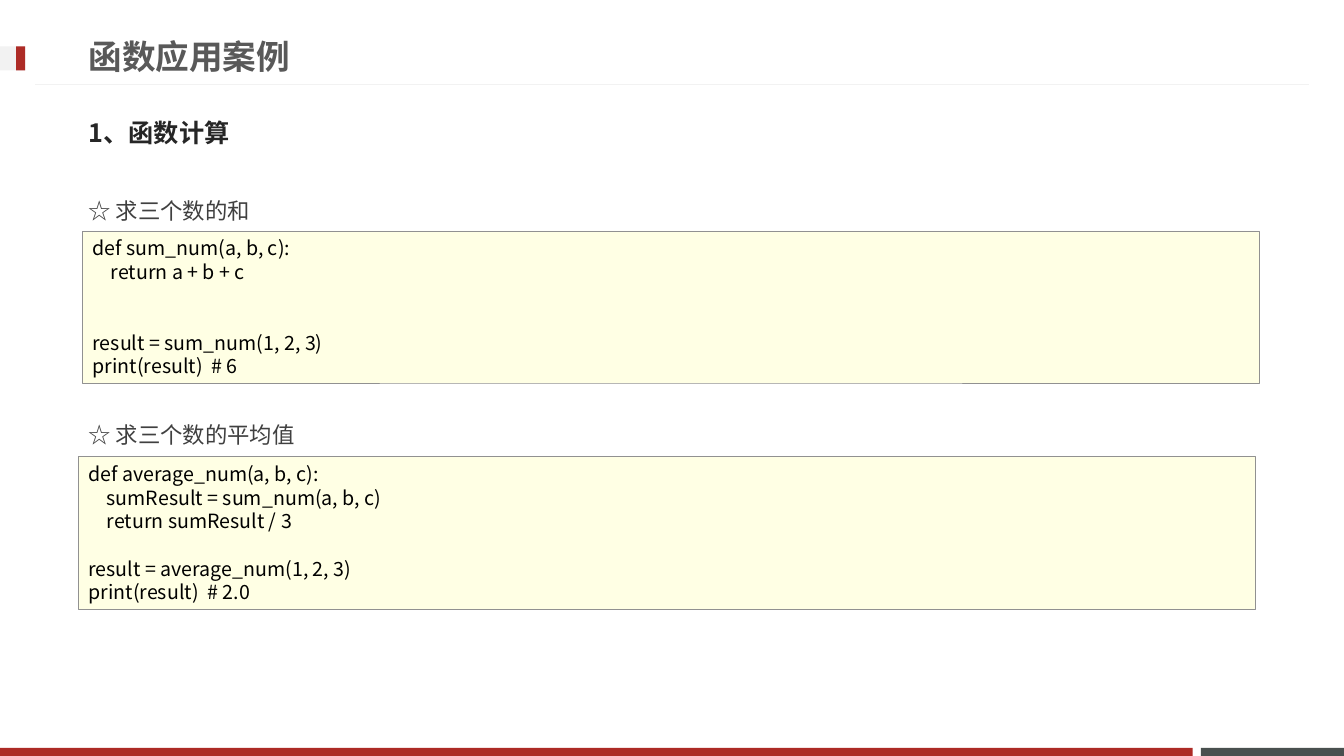
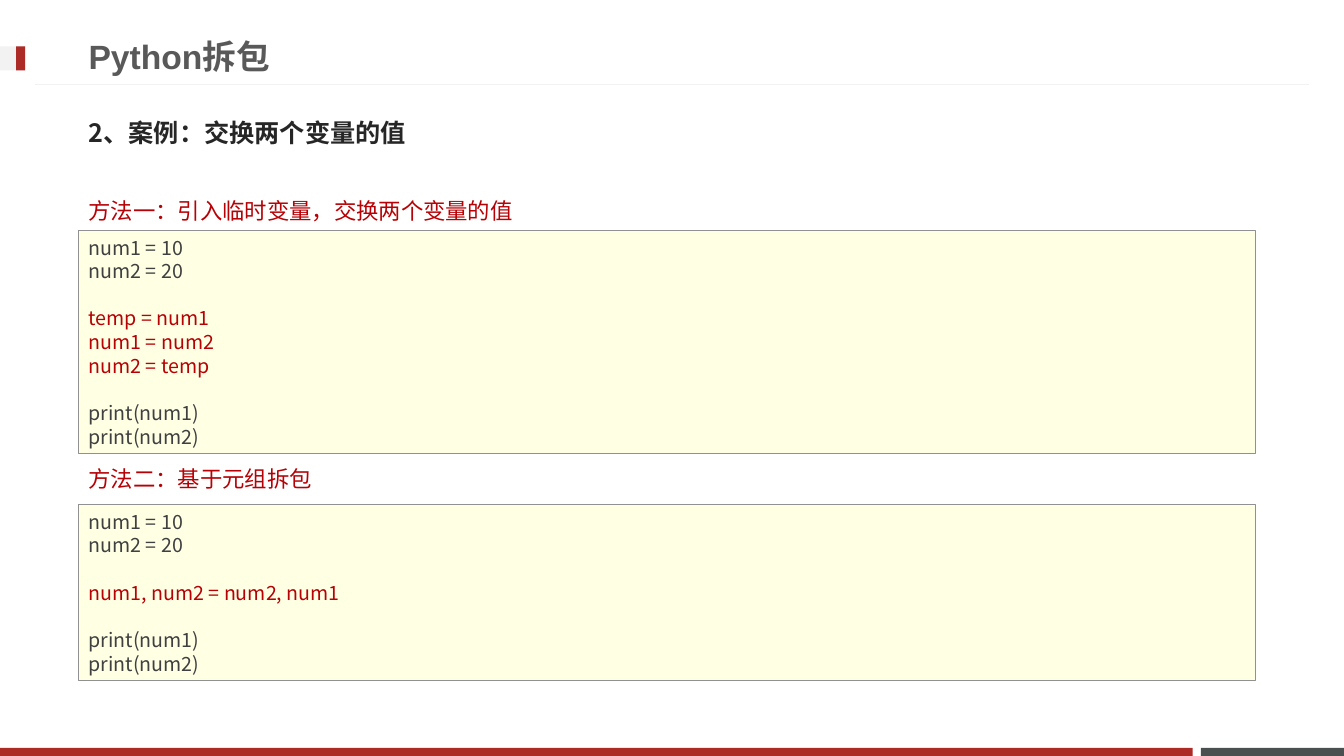
import dataclasses

import pptx
import pptx.dml.color
import pptx.enum.shapes
import pptx.enum.text
import pptx.oxml
import pptx.oxml.ns
import pptx.util
from pptx.util import Inches


@dataclasses.dataclass(frozen=True)
class Theme:
    brand_red: str = "AD2B26"
    slate: str = "49504F"
    pale_grey: str = "F2F2F2"
    title_grey: str = "595959"
    heading_grey: str = "262626"
    body_grey: str = "404040"
    accent_red: str = "B60206"
    code_black: str = "000000"
    code_fill: str = "FFFFE4"
    code_border: str = "919191"
    latin_font: str = "Arial"
    chinese_font: str = "Noto Sans CJK JP"
    title_size: float = 24
    heading_size: float = 18
    caption_size: float = 16
    code_size: float = 14
    code_pitch: float = 16.9
    code_indent: float = 0.18


@dataclasses.dataclass(frozen=True)
class Box:
    left: float
    top: float
    width: float
    height: float

    def lengths(self):
        return [Inches(value) for value in dataclasses.astuple(self)]


@dataclasses.dataclass(frozen=True)
class CodeLine:
    text: str
    blank_before: int = 0
    indented: bool = False
    accent: bool = False


@dataclasses.dataclass(frozen=True)
class Section:
    caption: str
    caption_top: float
    code_box: Box
    lines: tuple


THEME = Theme()
SLIDE_BOX = Box(0, 0, 13.33, 7.5)
TEXT_LEFT = 0.78
TEXT_WIDTH = 11.76
CODE_WIDTH = 11.67


def rgb(color):
    return pptx.dml.color.RGBColor.from_string(color)


def style_paragraph(paragraph, size, color, font_name, bold=False):
    font = paragraph.font
    font.size = pptx.util.Pt(size)
    font.bold = bold
    font.color.rgb = rgb(color)
    font.name = font_name
    properties = paragraph._p.get_or_add_pPr().find(pptx.oxml.ns.qn("a:defRPr"))
    east_asian = pptx.oxml.parse_xml(
        f'<a:ea {pptx.oxml.ns.nsdecls("a")} typeface="{THEME.chinese_font}"/>'
    )
    properties.find(pptx.oxml.ns.qn("a:latin")).addnext(east_asian)


def add_rectangle(slide, box, fill, border=None):
    shape = slide.shapes.add_shape(
        pptx.enum.shapes.MSO_SHAPE.RECTANGLE, *box.lengths()
    )
    shape.shadow.inherit = False
    shape.fill.solid()
    shape.fill.fore_color.rgb = rgb(fill)
    if border:
        shape.line.color.rgb = rgb(border)
        shape.line.width = pptx.util.Pt(0.25)
    else:
        shape.line.fill.background()
    return shape


def add_text(slide, box, text, size, color, font_name, bold=False):
    frame = slide.shapes.add_textbox(*box.lengths()).text_frame
    frame.word_wrap = True
    frame.vertical_anchor = pptx.enum.text.MSO_ANCHOR.MIDDLE
    paragraph = frame.paragraphs[0]
    paragraph.text = text
    style_paragraph(paragraph, size, color, font_name, bold)


def add_footer(slide, box):
    height, gap, slate_width = 0.08, 0.08, 1.42
    top = box.top + box.height - height
    slate_left = box.left + box.width - slate_width
    add_rectangle(slide, Box(slate_left, top, slate_width, height), THEME.slate)
    red_width = slate_left - gap - box.left
    add_rectangle(slide, Box(box.left, top, red_width, height), THEME.brand_red)


def add_header(slide, box, title):
    rule_inset, rule_top = 0.35, box.top + 0.84
    rule = slide.shapes.add_connector(
        pptx.enum.shapes.MSO_CONNECTOR.STRAIGHT,
        Inches(box.left + rule_inset), Inches(rule_top),
        Inches(box.left + box.width - rule_inset), Inches(rule_top),
    )
    rule.line.color.rgb = rgb(THEME.pale_grey)
    rule.line.width = pptx.util.Pt(0.75)
    rule._element.spPr.append(pptx.oxml.parse_xml(
        f'<a:effectLst {pptx.oxml.ns.nsdecls("a")}/>'
    ))
    for offset, width, color in ((0, 0.25, THEME.pale_grey),
                                 (0.16, 0.09, THEME.brand_red)):
        add_rectangle(
            slide, Box(box.left + offset, box.top + 0.46, width, 0.24), color
        )
    add_text(
        slide, Box(box.left + TEXT_LEFT, box.top + 0.27, 9.59, 0.57), title,
        THEME.title_size, THEME.title_grey, THEME.latin_font, bold=True,
    )


def add_code(slide, box, lines, color):
    shape = add_rectangle(slide, box, THEME.code_fill, THEME.code_border)
    frame = shape.text_frame
    frame.word_wrap = True
    frame.vertical_anchor = pptx.enum.text.MSO_ANCHOR.MIDDLE
    for index, line in enumerate(lines):
        paragraph = frame.add_paragraph() if index else frame.paragraphs[0]
        paragraph.text = line.text
        paragraph.alignment = pptx.enum.text.PP_ALIGN.LEFT
        paragraph.line_spacing = pptx.util.Pt(THEME.code_pitch)
        paragraph.space_before = pptx.util.Pt(
            line.blank_before * THEME.code_pitch
        )
        if line.indented:
            paragraph._p.get_or_add_pPr().set(
                "marL", str(Inches(THEME.code_indent))
            )
        style_paragraph(
            paragraph, THEME.code_size,
            THEME.accent_red if line.accent else color, THEME.chinese_font,
        )


def add_code_slide(presentation, title, heading, sections, caption_color, code_color):
    slide = presentation.slides.add_slide(presentation.slide_layouts[6])
    add_footer(slide, SLIDE_BOX)
    add_header(slide, SLIDE_BOX, title)
    add_text(
        slide, Box(TEXT_LEFT, 1.03, TEXT_WIDTH, 0.57), heading,
        THEME.heading_size, THEME.heading_grey, THEME.chinese_font, bold=True,
    )
    for section in sections:
        add_text(
            slide, Box(TEXT_LEFT, section.caption_top, TEXT_WIDTH, 0.4),
            section.caption, THEME.caption_size, caption_color, THEME.latin_font,
        )
        add_code(slide, section.code_box, section.lines, code_color)


def main():
    presentation = pptx.Presentation()
    presentation.slide_width = Inches(SLIDE_BOX.width)
    presentation.slide_height = Inches(SLIDE_BOX.height)

    add_code_slide(
        presentation, "函数应用案例", "1、函数计算",
        (
            Section("☆ 求三个数的和", 1.89, Box(0.82, 2.29, CODE_WIDTH, 1.51), (
                CodeLine("def sum_num(a, b, c):"),
                CodeLine("return a + b + c", indented=True),
                CodeLine("result = sum_num(1, 2, 3)", blank_before=2),
                CodeLine("print(result)  # 6"),
            )),
            Section("☆ 求三个数的平均值", 4.11, Box(TEXT_LEFT, 4.53, CODE_WIDTH, 1.51), (
                CodeLine("def average_num(a, b, c):"),
                CodeLine("sumResult = sum_num(a, b, c)", indented=True),
                CodeLine("return sumResult / 3", indented=True),
                CodeLine("result = average_num(1, 2, 3)", blank_before=1),
                CodeLine("print(result)  # 2.0"),
            )),
        ),
        THEME.body_grey, THEME.code_black,
    )

    assignments = (CodeLine("num1 = 10"), CodeLine("num2 = 20"))
    output = (CodeLine("print(num1)", blank_before=1), CodeLine("print(num2)"))
    temporary_swap = (
        CodeLine("temp = num1", blank_before=1, accent=True),
        CodeLine("num1 = num2", accent=True),
        CodeLine("num2 = temp", accent=True),
    )
    tuple_swap = (
        CodeLine("num1, num2 = num2, num1", blank_before=1, accent=True),
    )
    add_code_slide(
        presentation, "Python拆包", "2、案例：交换两个变量的值",
        (
            Section("方法一：引入临时变量，交换两个变量的值", 1.89,
                    Box(TEXT_LEFT, 2.28, CODE_WIDTH, 2.22),
                    assignments + temporary_swap + output),
            Section("方法二：基于元组拆包", 4.55,
                    Box(TEXT_LEFT, 5, CODE_WIDTH, 1.75),
                    assignments + tuple_swap + output),
        ),
        THEME.accent_red, THEME.body_grey,
    )
    presentation.save("out.pptx")


if __name__ == "__main__":
    main()
